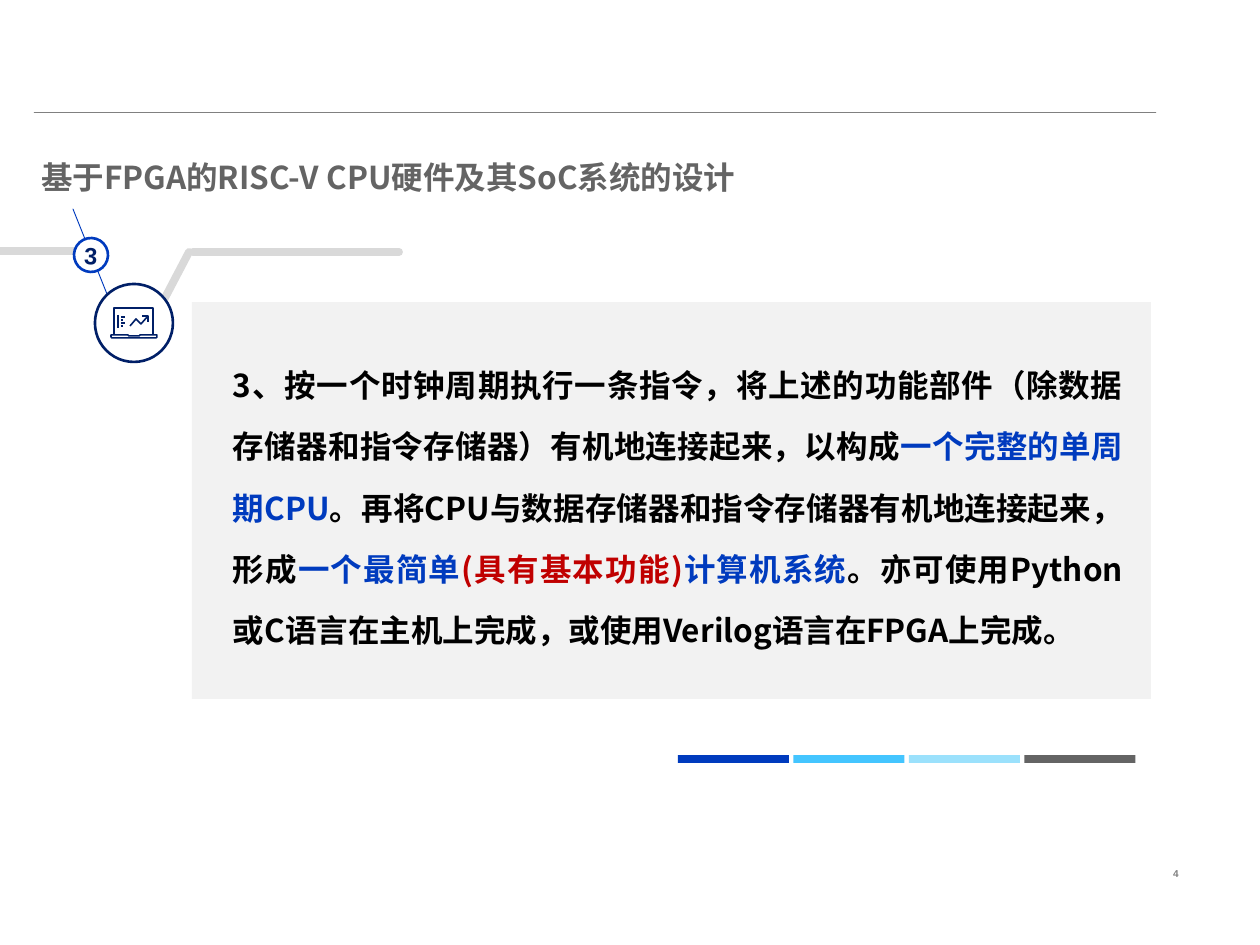
"""Build the slide on a RISC-V CPU and SoC design with FPGA."""
from lxml import etree
from pptx import Presentation
from pptx.dml.color import RGBColor
from pptx.enum.shapes import MSO_CONNECTOR, MSO_SHAPE
from pptx.enum.text import MSO_ANCHOR, PP_ALIGN
from pptx.oxml.ns import qn
from pptx.util import Pt

RECT, OVAL = MSO_SHAPE.RECTANGLE, MSO_SHAPE.OVAL
STRAIGHT = MSO_CONNECTOR.STRAIGHT
LEFT, RIGHT = PP_ALIGN.LEFT, PP_ALIGN.RIGHT
CENTER, JUSTIFY = PP_ALIGN.CENTER, PP_ALIGN.JUSTIFY
MIDDLE, BOTTOM = MSO_ANCHOR.MIDDLE, MSO_ANCHOR.BOTTOM

BLACK = RGBColor(0, 0, 0)
WHITE = RGBColor(0xFF, 0xFF, 0xFF)
PALE = RGBColor(0xF2, 0xF2, 0xF2)
SILVER = RGBColor(0xD9, 0xD9, 0xD9)
GRAY = RGBColor(0x80, 0x80, 0x80)
DARK = RGBColor(0x64, 0x64, 0x64)
NAVY = RGBColor(0x00, 0x1F, 0x67)
BLUE = RGBColor(0x00, 0x3B, 0xBE)
SKY = RGBColor(0x44, 0xC5, 0xFF)
ICE = RGBColor(0x9B, 0xE1, 0xFC)
RED = RGBColor(0xC0, 0x00, 0x00)

SCALE = 914400 / 126
SANS, ARIAL = "Noto Sans CJK SC", "Arial"

TITLE = [("基于FPGA的RISC-V CPU硬件及其SoC系统的设计", DARK)]
BODY = [
    ("3、按一个时钟周期执行一条指令，将上述的功能部件（除数据存储器和指令存储器）"
     "有机地连接起来，以构成", BLACK),
    ("一个完整的单周期CPU", BLUE),
    ("。再将CPU与数据存储器和指令存储器有机地连接起来，形成", BLACK),
    ("一个最简单", BLUE),
    ("(具有基本功能)", RED),
    ("计算机系统", BLUE),
    ("。亦可使用Python或C语言在主机上完成，或使用Verilog语言在FPGA上完成。", BLACK),
]
BARS = [BLUE, SKY, ICE, DARK]
TRACKS = [
    ((0, 251), (93, 251), SILVER, 4.5),
    ((156, 315), (189, 252), SILVER, 4.5),
    ((193, 252), (399, 252), SILVER, 4.5),
    ((73, 209), (125, 339), BLUE, 0.5),
]
SCREEN = [(114, 335), (114, 308), (153, 308), (153, 335)]
BASE = [(111, 335), (128, 335), (129, 336), (139, 336), (140, 335),
        (157, 335), (157, 337), (156, 338), (112, 338), (111, 337), (111, 335)]
TREND = [(130, 326), (136, 319), (141, 324), (148, 316)]
HEAD = [(142, 316), (148, 316), (148, 322)]
AXIS = [(118, 315), (118, 328)]
TICKS = [[(121, 317 + 3 * i), (123 + 2 * (i % 2 == 0), 317 + 3 * i)]
         for i in range(4)]


def px(*nums):
    return [round(n * SCALE) for n in nums]


def add_line(start, end, color, width):
    line = shapes.add_connector(STRAIGHT, *px(*start, *end))
    line.line.color.rgb = color
    line.line.width = Pt(width)
    line.line._get_or_add_ln().set("cap", "rnd")
    etree.SubElement(line._element.spPr, qn("a:effectLst"))


def add_shape(kind, box, fill, edge=None, turn=0):
    shape = shapes.add_shape(kind, *px(*box))
    shape.shadow.inherit = False
    shape.rotation = turn
    shape.fill.solid()
    shape.fill.fore_color.rgb = fill
    if edge is None:
        shape.line.fill.background()
    else:
        shape.line.color.rgb = edge
        shape.line.width = Pt(1.5)
    return shape


def set_text(shape, parts, size, font, align, anchor, bold=True, wrap=True):
    frame = shape.text_frame
    frame.word_wrap = wrap
    frame.vertical_anchor = anchor
    para = frame.paragraphs[0]
    para.alignment = align
    for text, color in parts:
        run = para.add_run()
        run.text = text
        run.font.size = Pt(size)
        run.font.bold = bold
        run.font.name = font
        run.font.color.rgb = color
        east = etree.SubElement(run.font._element, qn("a:ea"))
        east.set("typeface", font)
    return frame, para


def add_box(box, *style, **more):
    return set_text(shapes.add_textbox(*px(*box)), *style, **more)


def add_path(points):
    pen = shapes.build_freeform(*points[0], scale=SCALE)
    pen.add_line_segments(points[1:], close=points[0] == points[-1])
    path = pen.convert_to_shape()
    path.shadow.inherit = False
    path.fill.background()
    path.line.color.rgb = NAVY
    path.line.width = Pt(0.9)


deck = Presentation()
deck.slide_width, deck.slide_height = px(1260, 945)
shapes = deck.slides.add_slide(deck.slide_layouts[6]).shapes

add_line((34, 112), (1156, 112), GRAY, 0.25)
add_shape(RECT, (192, 302, 959, 397), PALE)
add_box((890, 859, 301, 29), [("4", GRAY)], 5.7, ARIAL, RIGHT, MIDDLE)
for i, color in enumerate(BARS):
    add_shape(RECT, (678 + 115.5 * i, 755, 111, 8), color)

_, para = add_box((29, 97, 1121, 106), TITLE, 18, SANS, LEFT, BOTTOM)
para.line_spacing = 0.9

frame, para = add_box((224, 339, 908, 315), BODY, 18, SANS, JUSTIFY, BOTTOM)
frame.margin_left, frame.margin_right = px(9, 9)
frame.margin_top, frame.margin_bottom = px(5, 5)
para.line_spacing, para.space_before = Pt(35), Pt(12)

for track in TRACKS:
    add_line(*track)
badge = add_shape(OVAL, (74, 238, 34, 34), WHITE, BLUE, 2.9)
set_text(badge, [("3", NAVY)], 13.5, ARIAL, CENTER, MIDDLE, wrap=False)
add_shape(OVAL, (95, 284, 78, 78), WHITE, NAVY)
for points in [SCREEN, BASE, TREND, HEAD, AXIS, *TICKS]:
    add_path(points)

deck.save("out.pptx")
